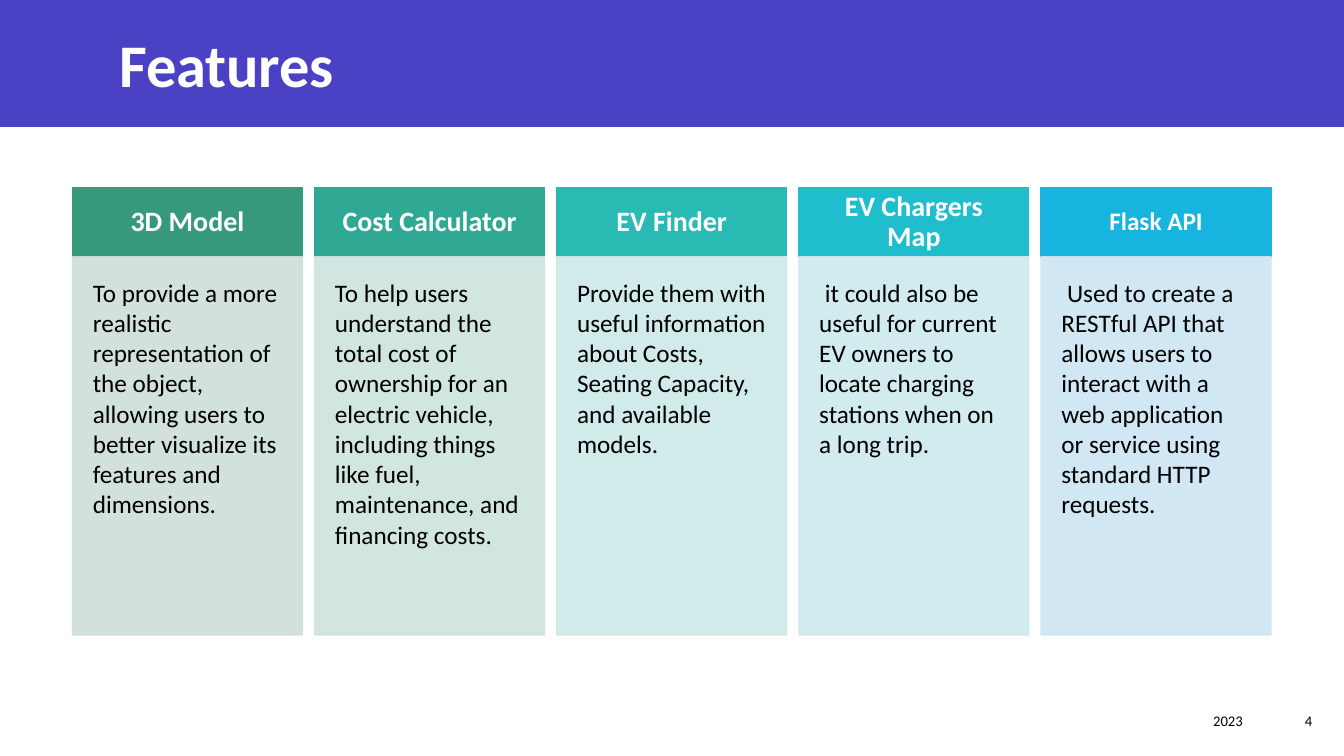
from dataclasses import dataclass

from lxml.etree import SubElement
from pptx import Presentation
from pptx.dml.color import RGBColor
from pptx.enum.shapes import MSO_SHAPE
from pptx.enum.text import MSO_ANCHOR, PP_ALIGN
from pptx.oxml.ns import qn
from pptx.util import Cm, Pt


@dataclass(frozen=True)
class Theme:
    font: str = "Calibri"
    banner: str = "4A41C5"
    light: str = "FFFFFF"
    dark: str = "000000"
    title_size: float = 43.2
    heading_size: float = 20
    body_size: float = 18
    footer_size: float = 10.5
    panel_opacity: int = 90


@dataclass(frozen=True)
class Box:
    left: float
    top: float
    width: float
    height: float

    def lengths(self):
        return Cm(self.left), Cm(self.top), Cm(self.width), Cm(self.height)


@dataclass(frozen=True)
class Feature:
    heading: str
    body: str
    heading_color: str
    panel_color: str
    heading_size: float


THEME = Theme()

FEATURES = [
    Feature(
        "3D Model",
        "To provide a more realistic representation of the object, allowing users "
        "to better visualize its features and dimensions.",
        "37997B", "CEDED7", THEME.heading_size,
    ),
    Feature(
        "Cost Calculator",
        "To help users understand the total cost of ownership for an electric vehicle, "
        "including things like fuel, maintenance, and financing costs.",
        "30A994", "CDE4DE", THEME.heading_size,
    ),
    Feature(
        "EV Finder",
        "Provide them with useful information about Costs, Seating Capacity, "
        "and available models.",
        "29BAB4", "CCE9E8", THEME.heading_size,
    ),
    Feature(
        "EV Chargers Map",
        " it could also be useful for current EV owners to locate charging stations "
        "when on a long trip.",
        "20BECC", "CCE9EE", THEME.heading_size,
    ),
    Feature(
        "Flask API",
        " Used to create a RESTful API that allows users to interact with a web "
        "application or service using standard HTTP requests.",
        "17B4DF", "CCE5F3", THEME.body_size,
    ),
]


def add_rectangle(page, box, color, opacity=100):
    shape = page.shapes.add_shape(MSO_SHAPE.RECTANGLE, *box.lengths())
    shape.shadow.inherit = False
    shape.line.width = Pt(1)
    for fill in (shape.fill, shape.line.fill):
        fill.solid()
        fill.fore_color.rgb = RGBColor.from_string(color)
    if opacity < 100:
        for tint in shape.element.spPr.iter(qn("a:srgbClr")):
            SubElement(tint, qn("a:alpha"), val=str(opacity * 1000))
    return shape


def write_text(shape, text, size, color, bold=False, align=PP_ALIGN.LEFT,
               anchor=MSO_ANCHOR.MIDDLE, inset=None):
    frame = shape.text_frame
    frame.word_wrap = True
    frame.vertical_anchor = anchor
    if inset is not None:
        frame.margin_left = frame.margin_right = Cm(inset)
        frame.margin_top = frame.margin_bottom = Cm(inset)
    para = frame.paragraphs[0]
    para.alignment = align
    span = para.add_run()
    span.text = text
    span.font.name = THEME.font
    span.font.size = Pt(size)
    span.font.bold = bold
    span.font.color.rgb = RGBColor.from_string(color)
    return para, span


def add_banner(page, box):
    banner = add_rectangle(page, box, THEME.banner)
    banner.line.fill.background()
    title_box = Box(box.left + 2.77, box.top + 0.53, 27.86, 2.11)
    title = page.shapes.add_textbox(*title_box.lengths())
    para, span = write_text(title, "Features", THEME.title_size, THEME.light, bold=True)
    span.font._element.set("spc", "-20")


def add_feature(page, box, feature):
    heading_height = 1.74
    heading_box = Box(box.left, box.top, box.width, heading_height)
    panel_box = Box(box.left, box.top + heading_height, box.width,
                    box.height - heading_height)
    heading = add_rectangle(page, heading_box, feature.heading_color)
    para, span = write_text(heading, feature.heading, feature.heading_size, THEME.light,
                            bold=True, align=PP_ALIGN.CENTER, inset=0.46)
    para.line_spacing = 0.9
    panel = add_rectangle(page, panel_box, feature.panel_color, THEME.panel_opacity)
    write_text(panel, feature.body, THEME.body_size, THEME.dark,
               anchor=MSO_ANCHOR.TOP, inset=0.51)


def add_feature_row(page, box, features):
    gap = 0.31
    width = (box.width - gap * (len(features) - 1)) / len(features)
    for index, feature in enumerate(features):
        left = box.left + index * (width + gap)
        add_feature(page, Box(left, box.top, width, box.height), feature)


def add_footer(page, box):
    number_width = 1.75
    date_width = box.width - number_width
    date_box = Box(box.left, box.top, date_width, box.height)
    number_box = Box(box.left + date_width, box.top, number_width, box.height)
    for text, text_box in (("2023", date_box), ("4", number_box)):
        label = page.shapes.add_textbox(*text_box.lengths())
        write_text(label, text, THEME.footer_size, THEME.dark, align=PP_ALIGN.RIGHT)


def main():
    deck = Presentation()
    deck.slide_width = Cm(33.87)
    deck.slide_height = Cm(19.05)
    page = deck.slides.add_slide(deck.slide_layouts[6])
    add_banner(page, Box(0, 0, 33.87, 3.2))
    add_feature_row(page, Box(1.83, 4.73, 30.2, 11.27), FEATURES)
    add_footer(page, Box(19.48, 17.65, 13.84, 1.02))
    deck.save("out.pptx")


if __name__ == "__main__":
    main()
